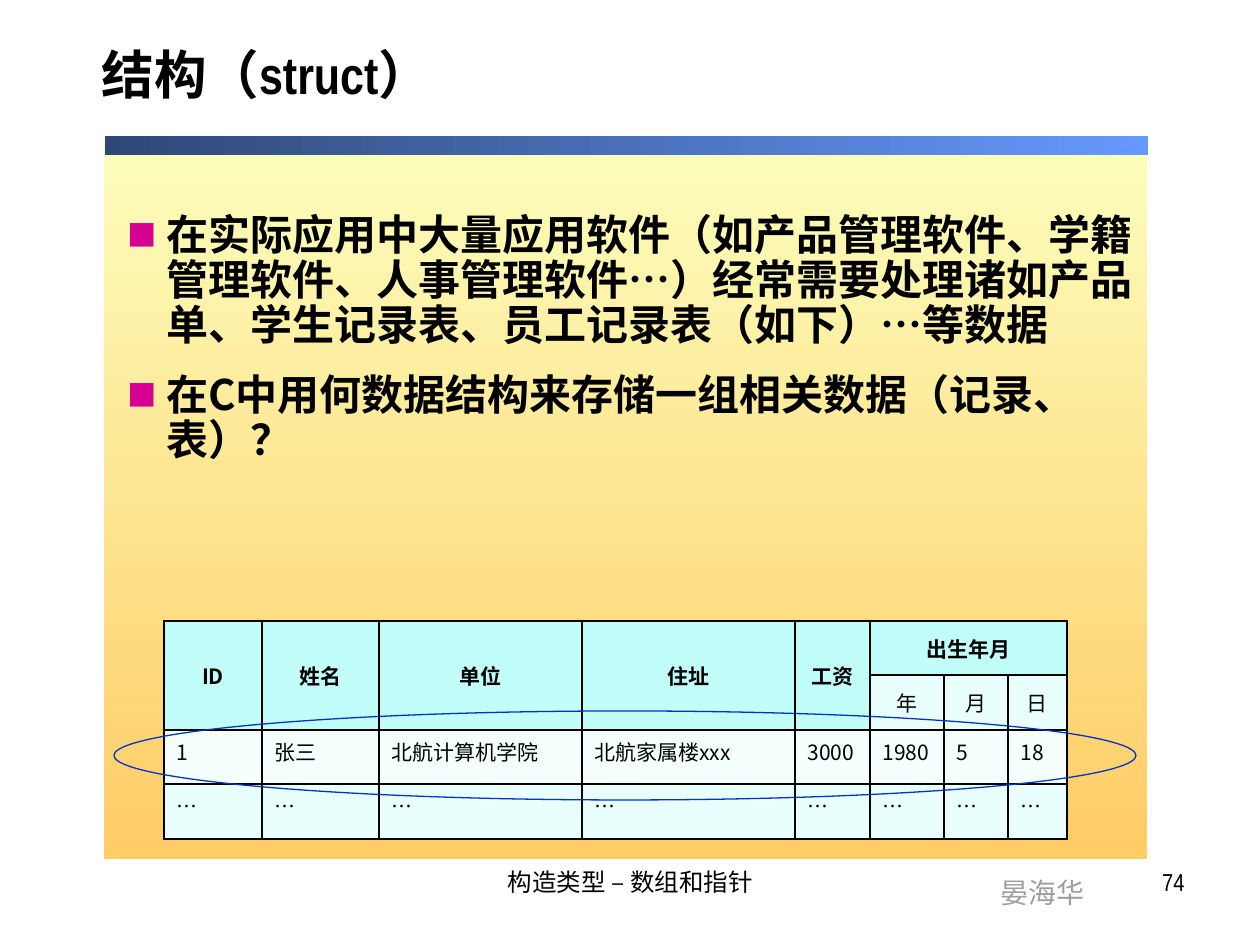
from dataclasses import dataclass

from lxml import etree
from pptx import Presentation
from pptx import util as u
from pptx.dml.color import RGBColor
from pptx.enum import shapes, text
from pptx.oxml import ns

SCALE = 914400 / 126  # EMU in one px
HUES = {
    "black": "000000", "grey": "9F9F9F", "pink": "D60093", "blue": "0033CC",
    "cream": "FCFEBC", "amber": "FFCC66", "navy": "2F4776", "sky": "6699FF",
    "head": "C1FEF9", "pale": "E9FFFD", "light": "F4FFFE",
}
SANS, NARROW = "Noto Sans CJK SC", "Arial Narrow"
LEFT, MID, RIGHT = text.PP_ALIGN.LEFT, text.PP_ALIGN.CENTER, text.PP_ALIGN.RIGHT


@dataclass
class Box:
    x: int
    y: int
    w: int
    h: int

    def emu(self) -> list:
        return [px(n) for n in (self.x, self.y, self.w, self.h)]


@dataclass
class Face:
    name: str
    size: int
    hue: str = "black"
    bold: bool = False


@dataclass
class Note:
    words: str
    box: Box
    face: Face
    align: int = LEFT
    wrap: bool = True


@dataclass
class Band:
    box: Box
    start: str
    end: str
    angle: int


BANDS = [
    Band(Box(104, 139, 1043, 720), "cream", "amber", 270),
    Band(Box(105, 136, 1043, 19), "navy", "sky", 0),
]
NOTES = [
    Note("晏海华", Box(988, 869, 110, 47), Face("Arial", 16, "grey"), wrap=False),
    Note("构造类型 – 数组和指针", Box(431, 861, 399, 65), Face(NARROW, 14), MID),
    Note("74", Box(903, 861, 294, 65), Face(NARROW, 14), RIGHT),
]
POINTS = [
    "在实际应用中大量应用软件（如产品管理软件、学籍管理软件、人事管理软件…）"
    "经常需要处理诸如产品单、学生记录表、员工记录表（如下）…等数据",
    "在C中用何数据结构来存储一组相关数据（记录、表）？",
]
COLS = [98, 117, 203, 213, 75, 74, 64, 59]
ROWS = [54, 55, 54, 55]
HEADS = ["ID", "姓名", "单位", "住址", "工资", "出生年月"]
PARTS = ["年", "月", "日"]
STAFF = ["1", "张三", "北航计算机学院", "北航家属楼xxx", "3000", "1980", "5", "18"]


def px(n: float) -> int:
    return round(n * SCALE)


def rgb(hue: str) -> RGBColor:
    return RGBColor.from_string(HUES[hue])


def sub(node, tag: str, **attrs):
    return etree.SubElement(node, ns.qn(tag), attrs)


def style(para, face: Face, align: int = LEFT) -> None:
    para.alignment = align
    font = para.font
    font.name, font.size, font.bold = face.name, u.Pt(face.size), face.bold
    font.color.rgb = rgb(face.hue)


def draw_band(slide, band: Band) -> None:
    form = slide.shapes.add_shape(shapes.MSO_SHAPE.RECTANGLE, *band.box.emu())
    form.shadow.inherit = False
    form.line.fill.background()
    form.fill.gradient()
    form.fill.gradient_angle = band.angle
    for stop, hue in zip(form.fill.gradient_stops, (band.start, band.end)):
        stop.color.rgb = rgb(hue)


def draw_note(slide, note: Note) -> None:
    frame = slide.shapes.add_textbox(*note.box.emu()).text_frame
    frame.word_wrap = note.wrap
    frame.text = note.words
    style(frame.paragraphs[0], note.face, note.align)


def draw_title(slide) -> None:
    title = slide.shapes.title
    title.left, title.top, title.width, title.height = Box(89, 21, 1129, 116).emu()
    frame = title.text_frame
    frame.text = "结构（struct）"
    frame.auto_size = text.MSO_AUTO_SIZE.NONE
    frame.vertical_anchor = text.MSO_ANCHOR.MIDDLE
    para = frame.paragraphs[0]
    para.line_spacing = 0.8
    style(para, Face(NARROW, 30, bold=True))


def draw_points(slide) -> None:
    frame = slide.shapes.add_textbox(*Box(115, 208, 1042, 393).emu()).text_frame
    frame.word_wrap = True
    for i, words in enumerate(POINTS):
        para = frame.paragraphs[0] if i == 0 else frame.add_paragraph()
        para.text = words
        para.line_spacing = u.Pt(25.7)
        para.space_before = u.Pt(14.4 if i else 0)
        props = para._p.get_or_add_pPr()
        props.set("marL", str(px(39)))
        props.set("indent", str(px(-39)))
        sub(sub(props, "a:buClr"), "a:srgbClr", val=HUES["pink"])
        sub(props, "a:buSzPct", val="70000")
        sub(props, "a:buFont", typeface=SANS)
        sub(props, "a:buChar", char="■")
        style(para, Face(SANS, 24, bold=True))


def edge(cell) -> None:
    """Give the cell a thin black line on all sides, under its fill in order."""
    props = cell._tc.get_or_add_tcPr()
    for i, side in enumerate(("a:lnL", "a:lnR", "a:lnT", "a:lnB")):
        line = etree.Element(ns.qn(side), w="12700")
        sub(sub(line, "a:solidFill"), "a:srgbClr", val=HUES["black"])
        props.insert(i, line)


def fill_cell(cell, words: str, hue: str, head: bool, bold: bool) -> None:
    cell.text = words
    cell.fill.solid()
    cell.fill.fore_color.rgb = rgb(hue)
    if head:
        cell.vertical_anchor = text.MSO_ANCHOR.MIDDLE
        cell.margin_top = cell.margin_bottom = u.Inches(0.02)
    style(cell.text_frame.paragraphs[0], Face(SANS, 12, bold=bold),
          MID if head else LEFT)
    edge(cell)


def draw_table(slide) -> None:
    box = Box(164, 621, sum(COLS), sum(ROWS))
    table = slide.shapes.add_table(len(ROWS), len(COLS), *box.emu()).table
    for col, wide in zip(table.columns, COLS):
        col.width = px(wide)
    for row, high in zip(table.rows, ROWS):
        row.height = px(high)
    last = len(HEADS) - 1
    for c in range(last):
        table.cell(0, c).merge(table.cell(1, c))
    table.cell(0, last).merge(table.cell(0, len(COLS) - 1))
    grid = [HEADS + [""] * 2, [""] * last + PARTS, STAFF, ["…"] * len(COLS)]
    hues = ["head", "pale", "light", "pale"]
    for r, (line, hue) in enumerate(zip(grid, hues)):
        for c, words in enumerate(line):
            tint = "head" if r == 1 and c < last else hue
            fill_cell(table.cell(r, c), words, tint, r < 2, r == 0)


def draw_ring(slide) -> None:
    ring = slide.shapes.add_shape(shapes.MSO_SHAPE.OVAL,
                                  *Box(114, 711, 1022, 89).emu())
    ring.shadow.inherit = False
    ring.fill.background()
    ring.line.color.rgb = rgb("blue")
    ring.line.width = u.Pt(0.75)


def main() -> None:
    deck = Presentation()
    deck.slide_width, deck.slide_height = px(1260), px(945)
    slide = deck.slides.add_slide(deck.slide_layouts[5])
    for band in BANDS:
        draw_band(slide, band)
    draw_title(slide)
    draw_points(slide)
    for note in NOTES:
        draw_note(slide, note)
    draw_table(slide)
    draw_ring(slide)
    deck.save("out.pptx")


if __name__ == "__main__":
    main()
